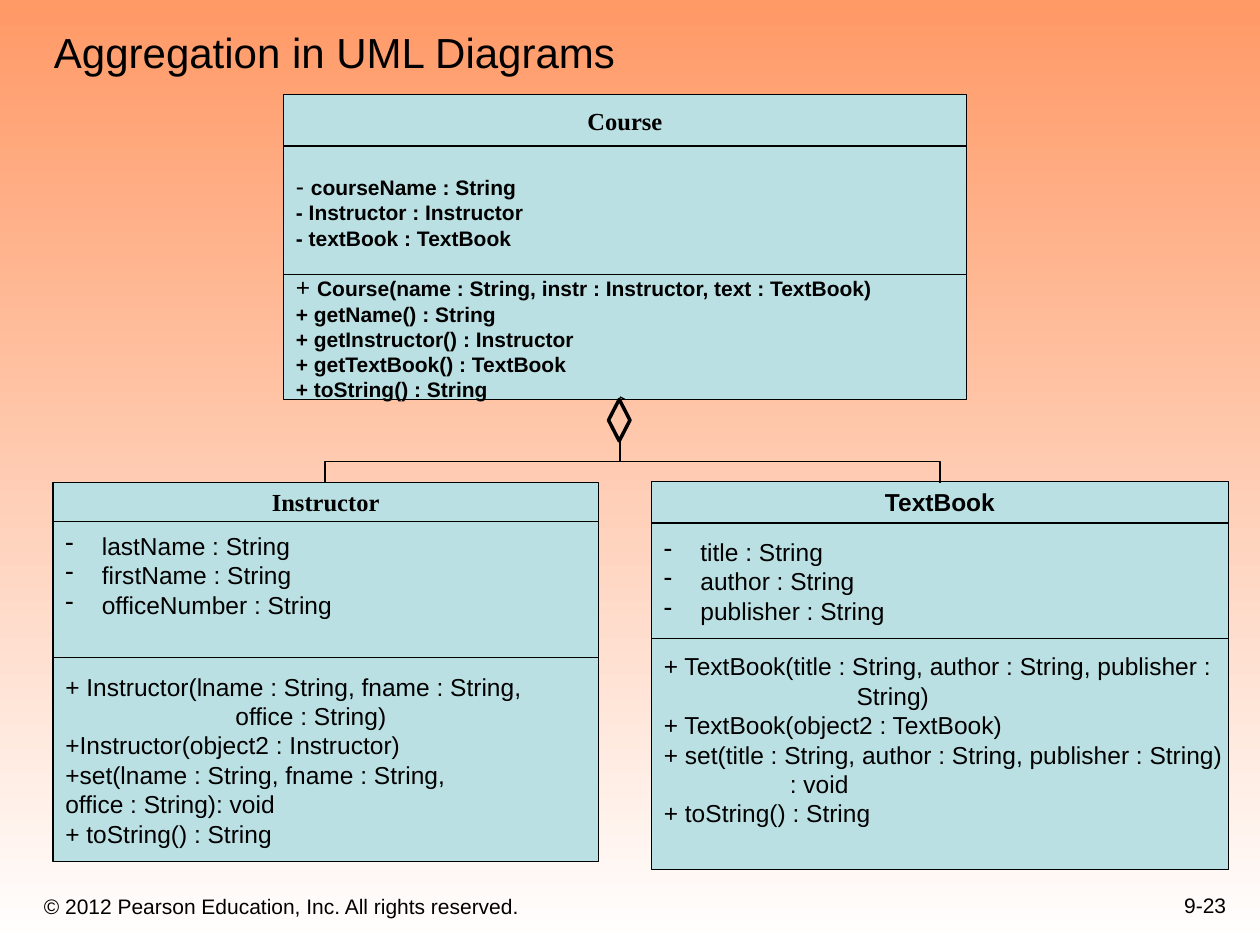
import pptx
import pptx.util
import pptx.dml.color
import pptx.enum.shapes
import pptx.enum.text
import pptx.oxml.ns
import lxml.etree
from dataclasses import dataclass

Inches = pptx.util.Inches
Pt = pptx.util.Pt
qn = pptx.oxml.ns.qn
Shape = pptx.enum.shapes.MSO_SHAPE
Link = pptx.enum.shapes.MSO_CONNECTOR
Align = pptx.enum.text.PP_ALIGN
Anchor = pptx.enum.text.MSO_ANCHOR


@dataclass(frozen=True)
class Theme:
    ink: str = "000000"
    box: str = "BBE0E3"
    top: str = "FF9966"
    base: str = "FFFFFF"
    sans: str = "Arial"
    serif: str = "Times New Roman"
    title: int = 24
    body: int = 14
    small: int = 12
    thin: float = 0.75
    thick: float = 2


def rgb(code):
    return pptx.dml.color.RGBColor.from_string(code)


def child(node, tag, **attrs):
    return lxml.etree.SubElement(node, qn(tag), attrs)


def write(para, text, *, font, size, color, bold=False, align=Align.LEFT,
          indent=0, bullet=False):
    props = para._p.get_or_add_pPr()
    if bullet:
        indent = 0.29
        props.set("indent", str(-Inches(indent)))
        child(child(props, "a:buClr"), "a:srgbClr", val=color)
        child(props, "a:buChar", char="-")
    if indent:
        props.set("marL", str(Inches(indent)))
    para.alignment = align
    run = para.add_run()
    run.text = text
    run.font.name, run.font.size, run.font.bold = font, Pt(size), bold
    run.font.color.rgb = rgb(color)


class Sheet:
    def __init__(self, slide, theme):
        self.slide, self.theme = slide, theme

    def back(self):
        fill = self.slide.background.fill
        fill.gradient()
        fill.gradient_angle = 270
        for stop, code in zip(fill.gradient_stops, (self.theme.top, self.theme.base)):
            stop.color.rgb = rgb(code)

    def fill_text(self, shape, lines, anchor, right=0.1, bottom=0.05, **style):
        """Each line is a list of (text, format) runs."""
        frame = shape.text_frame
        frame.word_wrap = True
        frame.vertical_anchor = anchor
        frame.margin_left, frame.margin_right = Inches(0.1), Inches(right)
        frame.margin_top, frame.margin_bottom = Inches(0.05), Inches(bottom)
        base = dict(font=self.theme.sans, size=self.theme.body, color=self.theme.ink)
        for num, runs in enumerate(lines):
            para = frame.add_paragraph() if num else frame.paragraphs[0]
            for text, own in runs:
                write(para, text, **{**base, **style, **own})

    def label(self, text, spot, **style):
        box = self.slide.shapes.add_textbox(*map(Inches, spot))
        self.fill_text(box, [[(text, {})]], Anchor.BOTTOM, **style)

    def shape(self, kind, spot, fill=None, width=None):
        item = self.slide.shapes.add_shape(kind, *map(Inches, spot))
        item.shadow.inherit = False
        if fill:
            item.fill.solid()
            item.fill.fore_color.rgb = rgb(fill)
        else:
            item.fill.background()
        item.line.color.rgb = rgb(self.theme.ink)
        item.line.width = Pt(width or self.theme.thin)
        return item

    def uml(self, left, top, width, heights, name, font, fields, calls,
            pads=(0.05, 0.05)):
        """Stack the name, field and method parts of one class box."""
        head = [[(name, {})]]
        parts = (
            (head, dict(font=font, bold=True, align=Align.CENTER)),
            (fields, dict(right=0, bottom=pads[0])),
            (calls, dict(right=0, bottom=pads[1])),
        )
        for high, (lines, style) in zip(heights, parts):
            box = self.shape(Shape.RECTANGLE, (left, top, width, high), self.theme.box)
            self.fill_text(box, lines, Anchor.MIDDLE, **style)
            top += high

    def line(self, kind, start, end):
        link = self.slide.shapes.add_connector(kind, *map(Inches, start + end))
        link.line.color.rgb = rgb(self.theme.ink)
        link.line.width = Pt(self.theme.thin)
        child(link._element.spPr, "a:effectLst")
        return link

    def elbow(self, start, end, bend):
        """Draw an elbow that leaves and arrives vertically."""
        (x1, y1), (x2, y2) = start, end
        wide, high = y2 - y1, abs(x2 - x1)
        left, top = (x1 + x2 - wide) / 2, (y1 + y2 - high) / 2
        link = self.line(Link.ELBOW, (left, top), (left + wide, top + high))
        props = link._element.spPr
        form = props.find(qn("a:xfrm"))
        form.set("rot", str((270 if x2 > x1 else 90) * 60000))
        if x2 > x1:
            form.set("flipH", "1")
        guides = props.find(qn("a:prstGeom")).find(qn("a:avLst"))
        child(guides, "a:gd", name="adj1", fmla=f"val {round(bend * 100000)}")


def rows(*texts, **style):
    return [[(text, style)] for text in texts]


def main():
    deck = pptx.Presentation()
    deck.slide_width, deck.slide_height = Inches(10), Inches(7.5)
    theme = Theme()
    sheet = Sheet(deck.slides.add_slide(deck.slide_layouts[6]), theme)
    sheet.back()
    sheet.label("© 2012 Pearson Education, Inc. All rights reserved.",
                (0.25, 6.92, 6.08, 0.42), size=theme.small)
    sheet.label("9-23", (7.75, 6.83, 2.08, 0.5), size=theme.small, align=Align.RIGHT)
    sheet.label("Aggregation in UML Diagrams", (0.33, 0.08, 9.42, 0.58),
                size=theme.title)

    strong = dict(size=theme.small, bold=True)
    sheet.uml(
        2.25, 0.75, 5.42, (0.41, 1.02, 0.99), "Course", theme.serif,
        [[("- ", {}), ("courseName : String", strong)]]
        + rows("- Instructor : Instructor", "- textBook : TextBook", **strong),
        [[("+ ", {}),
          ("Course(name : String, instr : Instructor, text : TextBook)", strong)]]
        + rows("+ getName() : String", "+ getInstructor() : Instructor",
               "+ getTextBook() : TextBook", "+ toString() : String", **strong))
    sheet.uml(
        5.17, 3.82, 4.58, (0.33, 0.92, 1.83), "TextBook", theme.sans,
        rows("title : String", "author : String", "publisher : String", bullet=True),
        rows("+ TextBook(title : String, author : String, publisher :")
        + rows("String)", indent=1.53)
        + rows("+ TextBook(object2 : TextBook)",
               "+ set(title : String, author : String, publisher : String)")
        + rows(": void", indent=1)
        + rows("+ toString() : String"),
        pads=(0.05, 0.28))
    sheet.uml(
        0.42, 3.83, 4.33, (0.31, 1.08, 1.62), "Instructor", theme.serif,
        rows("lastName : String", "firstName : String", "officeNumber : String",
             bullet=True),
        rows("+ Instructor(lname : String, fname : String,")
        + rows("office : String)", indent=1.35)
        + rows("+Instructor(object2 : Instructor)",
               "+set(lname : String, fname : String,", "office : String): void",
               "+ toString() : String"),
        pads=(0.28, 0.05))

    sheet.shape(Shape.DIAMOND, (4.83, 3.17, 0.17, 0.33), width=theme.thick)
    sheet.line(Link.STRAIGHT, (4.96, 3.17), (4.92, 3.15))
    for end in (7.46, 2.58):
        sheet.elbow((4.92, 3.51), (end, 3.83), 0.48)
    deck.save("out.pptx")


if __name__ == "__main__":
    main()
